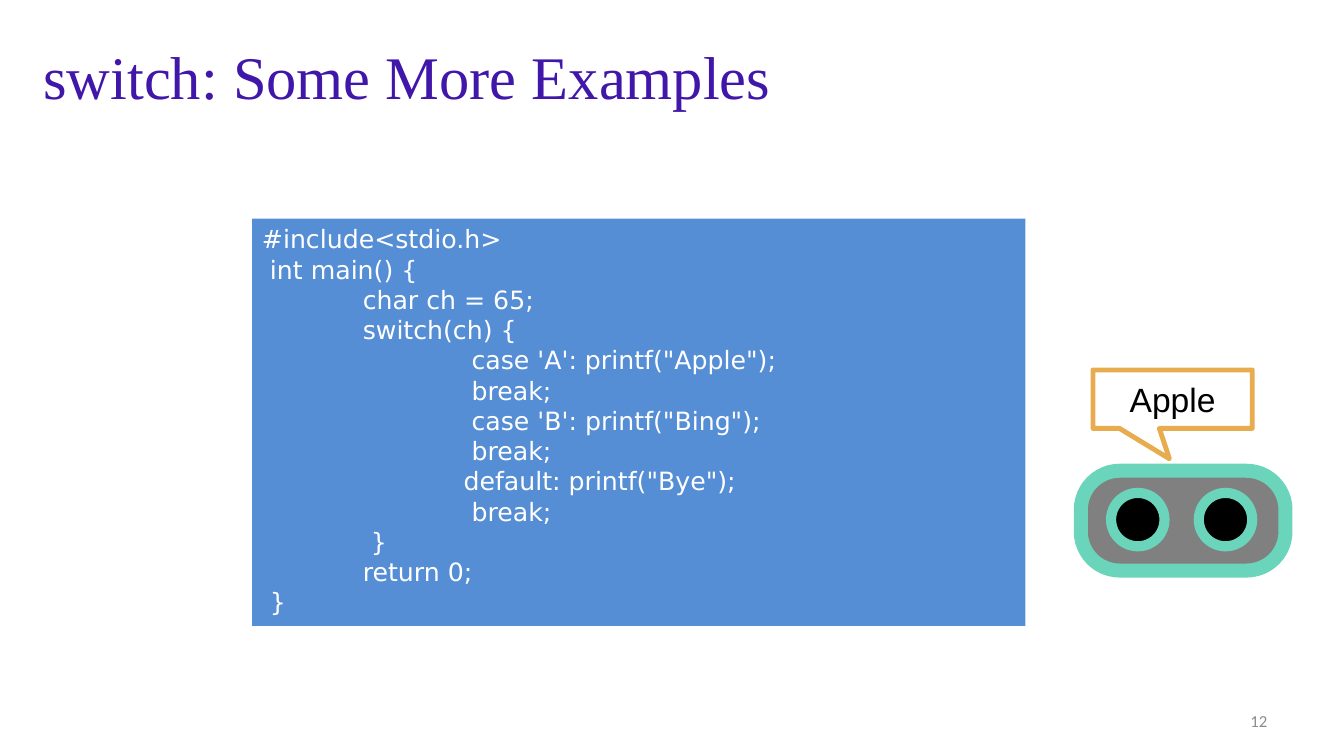
import pptx
import pptx.util
import pptx.dml.color
import pptx.enum.shapes
import pptx.enum.text
import pptx.oxml.ns
import lxml.etree

Inches = pptx.util.Inches
Pt = pptx.util.Pt
SHAPE = pptx.enum.shapes.MSO_SHAPE
ALIGN = pptx.enum.text.PP_ALIGN
ANCHOR = pptx.enum.text.MSO_ANCHOR

TITLE = "switch: Some More Examples"
CODE = [
    "#include<stdio.h>",
    " int main() {",
    "\tchar ch = 65;",
    "\tswitch(ch) {",
    "\t\t case 'A': printf(\"Apple\");",
    "\t\t break;",
    "\t\t case 'B': printf(\"Bing\");",
    "\t\t break;",
    "\t\tdefault: printf(\"Bye\");",
    "\t\t break;",
    "\t }",
    "\treturn 0;",
    " }",
]
OUTPUT = "Apple"
PAGE_NUMBER = "12"

COLORS = {
    "title": "4117A9",
    "code": "558ED5",
    "white": "FFFFFF",
    "black": "000000",
    "visor": "808080",
    "rim": "6AD5BB",
    "bubble": "E8AB4E",
    "number": "8C8C8C",
}
TAB_STOPS = (1, 2)
EYE_SIZE = 0.53
EYE_LEFT = 11.02
EYE_STEP = 0.87


def rgb(name):
    return pptx.dml.color.RGBColor.from_string(COLORS[name])


def set_tabs(para, stops):
    qn = pptx.oxml.ns.qn
    properties = para._p.get_or_add_pPr()
    tabs = lxml.etree.SubElement(properties, qn("a:tabLst"))
    for stop in stops:
        lxml.etree.SubElement(tabs, qn("a:tab"), pos=str(Inches(stop)), algn="l")


def write(box, lines, font, size, color, align=ALIGN.LEFT, anchor=ANCHOR.MIDDLE,
          spacing=None, tabs=()):
    frame = box.text_frame
    frame.word_wrap = True
    frame.auto_size = pptx.enum.text.MSO_AUTO_SIZE.NONE
    frame.vertical_anchor = anchor
    for index, line in enumerate(lines):
        para = frame.add_paragraph() if index else frame.paragraphs[0]
        para.alignment = align
        if spacing:
            para.line_spacing = Pt(spacing)
        if tabs:
            set_tabs(para, tabs)
        span = para.add_run()
        span.text = line
        span.font.name = font
        span.font.size = Pt(size)
        span.font.color.rgb = rgb(color)


def draw(page, kind, place, fill, line=None, width=0, adjust=()):
    shape = page.shapes.add_shape(kind, *map(Inches, place))
    shape.shadow.inherit = False
    shape.fill.solid()
    shape.fill.fore_color.rgb = rgb(fill)
    if line:
        shape.line.color.rgb = rgb(line)
        shape.line.width = Pt(width)
    else:
        shape.line.fill.background()
    for index, value in enumerate(adjust):
        shape.adjustments[index] = value
    return shape


def main():
    deck = pptx.Presentation()
    deck.slide_width, deck.slide_height = Inches(13.33), Inches(7.5)
    page = deck.slides.add_slide(deck.slide_layouts[5])

    title = page.shapes.title
    title.left, title.top, title.width, title.height = map(Inches, (0.33, 0.33, 12, 0.83))
    write(title, [TITLE], "Times New Roman", 43.2, "title")

    code = draw(page, SHAPE.RECTANGLE, (2.5, 2.17, 7.67, 4.04), "code")
    write(code, CODE, "DejaVu Sans", 18, "white", anchor=ANCHOR.TOP,
          spacing=21.6, tabs=TAB_STOPS)

    draw(page, SHAPE.ROUNDED_RECTANGLE, (10.72, 4.67, 2.03, 0.99), "visor", "rim", 10, [0.39])
    for eye in range(2):
        place = (EYE_LEFT + eye * EYE_STEP, 4.89, EYE_SIZE, EYE_SIZE)
        draw(page, SHAPE.OVAL, place, "black", "rim", 7.25)

    bubble = draw(page, SHAPE.RECTANGULAR_CALLOUT, (10.84, 3.67, 1.58, 0.58),
                  "white", "bubble", 3.5, [-0.02, 1.02])
    write(bubble, [OUTPUT], "Arial", 24, "black", align=ALIGN.CENTER)

    number = page.shapes.add_textbox(*map(Inches, (9.56, 6.95, 3.11, 0.4)))
    write(number, [PAGE_NUMBER], "Calibri", 12, "number", align=ALIGN.RIGHT)

    deck.save("out.pptx")


if __name__ == "__main__":
    main()
